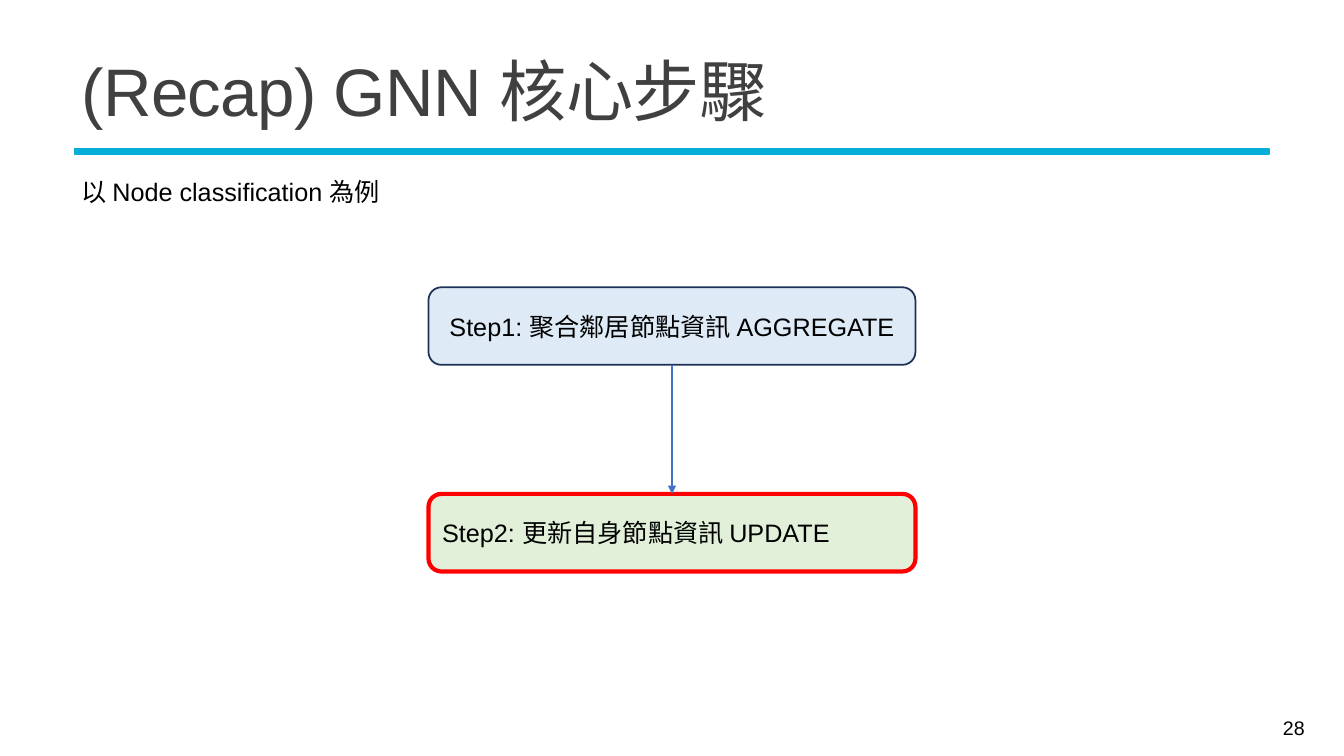
import pptx
import pptx.dml.color
import pptx.enum.shapes
import pptx.enum.text
import pptx.oxml
import pptx.oxml.ns
import pptx.util

ALIGN = pptx.enum.text.PP_ALIGN
ANCHOR = pptx.enum.text.MSO_ANCHOR
SHAPE = pptx.enum.shapes.MSO_SHAPE

COLORS = {
    "title": "404040", "text": "000000", "rule": "05AED6", "arrow": "4472C4",
    "aggregate": "DEEBF7", "aggregate_line": "1E3256",
    "update": "E2F0D9", "update_line": "FF0000",
}
FONT = "Arial"
TITLE = "(Recap) GNN 核心步驟"
SUBTITLE = "以 Node classification 為例"
PAGE_NUMBER = "28"
STEPS = [  # text, fill, line, line width in points, alignment
    ("Step1: 聚合鄰居節點資訊 AGGREGATE", "aggregate", "aggregate_line", 1.25, ALIGN.CENTER),
    ("Step2: 更新自身節點資訊 UPDATE", "update", "update_line", 3, ALIGN.LEFT),
]

# Lengths in px, 100 px to the inch
SLIDE_WIDTH, SLIDE_HEIGHT = 1333, 750
STEP_WIDTH, STEP_HEIGHT = 483, 77
STEP_TOP, STEP_PITCH = 285, 205
STEP_LEFT = (SLIDE_WIDTH - STEP_WIDTH) // 2


def px(length):
    return pptx.util.Emu(length * 9144)


def box(*lengths):
    return [px(length) for length in lengths]


def rgb(name):
    return pptx.dml.color.RGBColor.from_string(COLORS[name])


def write(shape, text, size, color="text", align=ALIGN.LEFT, anchor=ANCHOR.MIDDLE):
    frame = shape.text_frame
    frame.text = text
    frame.word_wrap = True
    frame.vertical_anchor = anchor
    paragraph = frame.paragraphs[0]
    paragraph.alignment = align
    paragraph.font.name = FONT
    paragraph.font.size = pptx.util.Pt(size)
    paragraph.font.color.rgb = rgb(color)
    return paragraph


def add_block(slide, kind, place, fill, line, line_width):
    shape = slide.shapes.add_shape(kind, *place)
    shape.shadow.inherit = False
    shape.fill.solid()
    shape.fill.fore_color.rgb = rgb(fill)
    shape.line.color.rgb = rgb(line)
    shape.line.width = pptx.util.Pt(line_width)
    return shape


def add_title(slide):
    title = slide.shapes.title
    title.left, title.top, title.width, title.height = box(71, 39, 1194, 113)
    paragraph = write(title, TITLE, 48, "title")
    title.text_frame.auto_size = pptx.enum.text.MSO_AUTO_SIZE.NONE
    paragraph.line_spacing = 0.85
    paragraph.runs[0].font._element.set("spc", "-50")


def add_arrow(slide, upper, lower):
    """Join the bottom of one step to the top of the next."""
    arrow = slide.shapes.add_connector(pptx.enum.shapes.MSO_CONNECTOR.STRAIGHT, 0, 0, 0, 0)
    arrow.begin_connect(upper, 2)
    arrow.end_connect(lower, 0)
    arrow.line.color.rgb = rgb("arrow")
    arrow.line.width = pptx.util.Pt(1)
    namespace = pptx.oxml.ns.nsdecls("a")
    arrow.line._get_or_add_ln().append(
        pptx.oxml.parse_xml(f'<a:tailEnd {namespace} type="triangle"/>'))
    arrow._element.spPr.append(pptx.oxml.parse_xml(f"<a:effectLst {namespace}/>"))


def main():
    presentation = pptx.Presentation()
    presentation.slide_width, presentation.slide_height = box(SLIDE_WIDTH, SLIDE_HEIGHT)
    slide = presentation.slides.add_slide(presentation.slide_layouts[5])

    add_block(slide, SHAPE.RECTANGLE, box(74, 148, 1185, 5), "rule", "rule", 1.25)
    add_title(slide)
    page_number = slide.shapes.add_textbox(*box(1161, 702, 143, 40))
    write(page_number, PAGE_NUMBER, 14, align=ALIGN.RIGHT)
    subtitle = slide.shapes.add_textbox(*box(71, 170, 328, 40))
    write(subtitle, SUBTITLE, 18, anchor=ANCHOR.TOP)

    steps = []
    for index, (text, fill, line, line_width, align) in enumerate(STEPS):
        place = box(STEP_LEFT, STEP_TOP + index * STEP_PITCH, STEP_WIDTH, STEP_HEIGHT)
        step = add_block(slide, SHAPE.ROUNDED_RECTANGLE, place, fill, line, line_width)
        write(step, text, 18, align=align)
        steps.append(step)
    for upper, lower in zip(steps, steps[1:]):
        add_arrow(slide, upper, lower)

    presentation.save("out.pptx")


if __name__ == "__main__":
    main()
